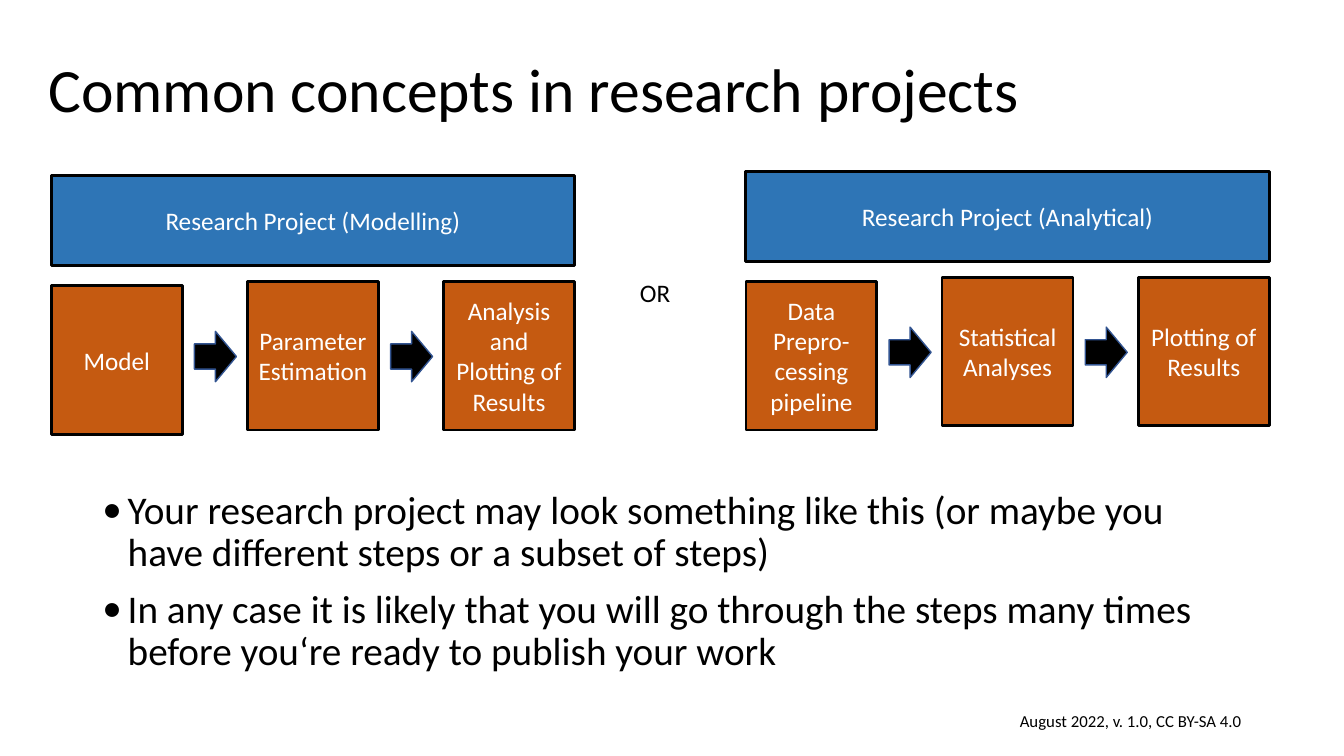
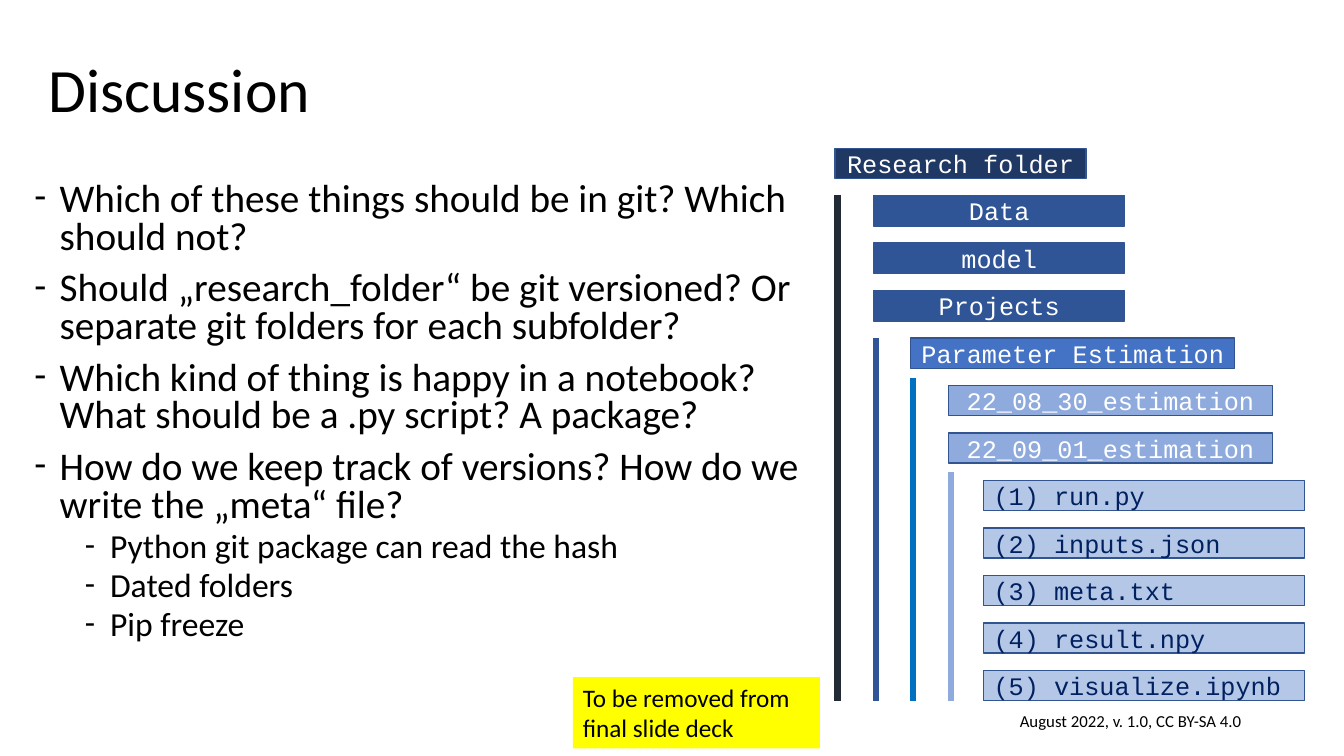
import lxml.etree
import pptx
import pptx.dml.color
import pptx.enum.shapes
import pptx.enum.text
import pptx.oxml.ns
import pptx.util

COLUMNS, ROWS = 160, 90
SANS, MONO = "Calibri", "Courier New"
BLACK, WHITE, NAVY = "000000", "FFFFFF", "002060"
ORANGE, BLUE, OUTLINE, YELLOW = "C55A11", "2E75B6", "325491", "FFFF00"
FOOTER = "August 2022, v. 1.0, CC BY-SA 4.0"

ALIGN = pptx.enum.text.PP_ALIGN
ANCHOR = pptx.enum.text.MSO_ANCHOR
PRESET = pptx.enum.shapes.MSO_SHAPE


def color(hex_string):
    return pptx.dml.color.RGBColor.from_string(hex_string)


def add_element(parent, tag, **attributes):
    return lxml.etree.SubElement(parent, pptx.oxml.ns.qn(tag), **attributes)


def write(paragraph, text, size=18, font=SANS, ink=BLACK, align=ALIGN.LEFT,
          spacing=None, before=0, bullet=None, level=0):
    """Fill one paragraph with formatted text."""
    if bullet:
        properties = paragraph._p.get_or_add_pPr()
        step = pptx.util.Inches(0.25)
        properties.set("marL", str(step * (1 + 2 * level)))
        properties.set("indent", str(-step))
        add_element(properties, "a:buFont", typeface=SANS)
        add_element(properties, "a:buChar", char=bullet)
    paragraph.level = level
    paragraph.alignment = align
    paragraph.space_before = pptx.util.Pt(before)
    if spacing:
        paragraph.line_spacing = spacing
    run = paragraph.add_run()
    run.text = text
    run.font.size = pptx.util.Pt(size)
    run.font.name = font
    run.font.color.rgb = color(ink)


class Deck:
    """Shared style, and the slide being built; lengths are grid cells."""

    def __init__(self):
        self.presentation = pptx.Presentation()
        self.presentation.slide_width = pptx.util.Inches(13.33)
        self.presentation.slide_height = pptx.util.Inches(7.5)
        self.slide = None

    def x(self, columns):
        return round(self.presentation.slide_width * columns / COLUMNS)

    def y(self, rows):
        return round(self.presentation.slide_height * rows / ROWS)

    def area(self, left, top, width, height):
        return self.x(left), self.y(top), self.x(width), self.y(height)

    def frame(self, shape, anchor):
        text_frame = shape.text_frame
        text_frame.word_wrap = True
        text_frame.auto_size = pptx.enum.text.MSO_AUTO_SIZE.NONE
        text_frame.vertical_anchor = anchor
        return text_frame

    def place(self, placeholder, area, anchor):
        (placeholder.left, placeholder.top,
         placeholder.width, placeholder.height) = self.area(*area)
        return self.frame(placeholder, anchor)

    def start(self, title):
        layout = self.presentation.slide_layouts[1]
        self.slide = self.presentation.slides.add_slide(layout)
        frame = self.place(self.slide.shapes.title,
                           (4.56, 4.8, 150.7, 12.5), ANCHOR.MIDDLE)
        write(frame.paragraphs[0], title, size=44, spacing=0.9)
        self.label(FOOTER, (95, 83.4, 54, 4.8), anchor=ANCHOR.MIDDLE,
                   size=12, align=ALIGN.RIGHT)

    def label(self, text, area, anchor=ANCHOR.TOP, **text_format):
        text_box = self.slide.shapes.add_textbox(*self.area(*area))
        write(self.frame(text_box, anchor).paragraphs[0], text, **text_format)

    def bullets(self, items, area, bullet, spacing):
        """Fill the body placeholder with (level, text) items."""
        frame = self.place(self.slide.placeholders[1], area, ANCHOR.TOP)
        for index, (level, text) in enumerate(items):
            paragraph = frame.add_paragraph() if index else frame.paragraphs[0]
            write(paragraph, text, size=(28, 24)[level], spacing=spacing,
                  before=(10, 5)[level] if index else 0,
                  bullet=bullet, level=level)

    def shape(self, area, fill, line=OUTLINE, line_width=1,
              preset=PRESET.RECTANGLE):
        shape = self.slide.shapes.add_shape(preset, *self.area(*area))
        shape.shadow.inherit = False
        shape.fill.solid()
        shape.fill.fore_color.rgb = color(fill)
        if line:
            shape.line.color.rgb = color(line)
            shape.line.width = pptx.util.Pt(line_width)
        else:
            shape.line.fill.background()
        return shape

    def box(self, text, area, fill, line=OUTLINE, line_width=1,
            anchor=ANCHOR.MIDDLE, **text_format):
        """A rectangle with one paragraph for each line of text."""
        frame = self.frame(self.shape(area, fill, line, line_width), anchor)
        for index, part in enumerate(text.split("\n")):
            paragraph = frame.add_paragraph() if index else frame.paragraphs[0]
            write(paragraph, part, **text_format)

    def vertical_line(self, column, top, bottom, fill):
        connector = self.slide.shapes.add_connector(
            pptx.enum.shapes.MSO_CONNECTOR.STRAIGHT,
            self.x(column), self.y(top), self.x(column), self.y(bottom))
        connector.line.color.rgb = color(fill)
        connector.line.width = pptx.util.Pt(4.5)
        add_element(connector._element.spPr, "a:effectLst")

    def workflow(self, heading, steps, left, top):
        """A banner above three steps joined by arrows."""
        pitch, width = 23.35, 15.6
        style = dict(line=BLACK, line_width=2, ink=WHITE, align=ALIGN.CENTER)
        self.box(heading, (left, top, 2 * pitch + width, 10.7), BLUE, **style)
        for index, step in enumerate(steps):
            step_left = left + index * pitch
            step_top = top + (12.6 if index else 13.1)
            self.box(step, (step_left, step_top, width, 17.7), ORANGE, **style)
            if index:
                self.shape((step_left - 6.3, top + 18.55, 5, 6), BLACK,
                           preset=PRESET.RIGHT_ARROW)


def concepts_slide(deck):
    deck.start("Common concepts in research projects")
    deck.workflow("Research Project (Modelling)",
                  ["Model", "Parameter Estimation",
                   "Analysis\nand Plotting of Results"], 6.1, 20.9)
    deck.workflow("Research Project (Analytical)",
                  ["Data Prepro-cessing pipeline", "Statistical Analyses",
                   "Plotting of Results"], 88.8, 20.4)
    deck.label("OR", (75, 32.4, 7.2, 4.8))
    deck.bullets([
        (0, "Your research project may look something like this (or maybe "
            "you have different steps or a subset of steps)"),
        (0, "In any case it is likely that you will go through the steps "
            "many times before you‘re ready to publish your work"),
    ], (11, 57.8, 138, 23.3), "•", 0.9)


def discussion_slide(deck):
    deck.start("Discussion")
    deck.bullets([
        (0, "Which of these things should be in git? Which should not?"),
        (0, "Should „research_folder“ be git versioned? Or separate git "
            "folders for each subfolder?"),
        (0, "Which kind of thing is happy in a notebook? What should be a "
            ".py script? A package?"),
        (0, "How do we keep track of versions? How do we write the „meta“ "
            "file?"),
        (1, "Python git package can read the hash"),
        (1, "Dated folders"),
        (1, "Pip freeze"),
    ], (2.9, 21.1, 93.8, 60), "-", 0.8)

    # Folder tree: left, width and fill of each depth
    depths = [(99.4, 29.9, "203864"), (104, 29.9, "2F5597"),
              (108.4, 38.6, "4472C4"), (112.9, 38.6, "8FAADC"),
              (117.1, 38.2, "B4C7E7")]
    entries = [(0, "Research folder"), (1, "Data"), (1, "model"),
               (1, "Projects"), (2, "Parameter Estimation"),
               (3, "22_08_30_estimation"), (3, "22_09_01_estimation"),
               (4, "(1) run.py"), (4, "(2) inputs.json"),
               (4, "(3) meta.txt"), (4, "(4) result.npy"),
               (4, "(5) visualize.ipynb")]
    folder_style = dict(font=MONO, ink=WHITE, align=ALIGN.CENTER)
    file_style = dict(font=MONO, ink=NAVY)
    for row, (depth, name) in enumerate(entries):
        left, width, fill = depths[depth]
        deck.box(name, (left, 17.65 + 5.65 * row, width, 3.6), fill,
                 **(file_style if depth == 4 else folder_style))

    # Guide lines down the tree
    guides = [(23.2, "222A35"), (40.2, "2F5597"),
              (45, "0070C0"), (56.2, "8FAADC")]
    for (left, _, _), (top, fill) in zip(depths, guides):
        deck.vertical_line(left + 0.3, top, 83.4, fill)

    # Reminder note
    deck.box("To be removed from final slide deck", (68.2, 80.6, 29.4, 8.5),
             YELLOW, line=None, anchor=ANCHOR.TOP)


def main():
    deck = Deck()
    concepts_slide(deck)
    discussion_slide(deck)
    deck.presentation.save("out.pptx")


if __name__ == "__main__":
    main()
